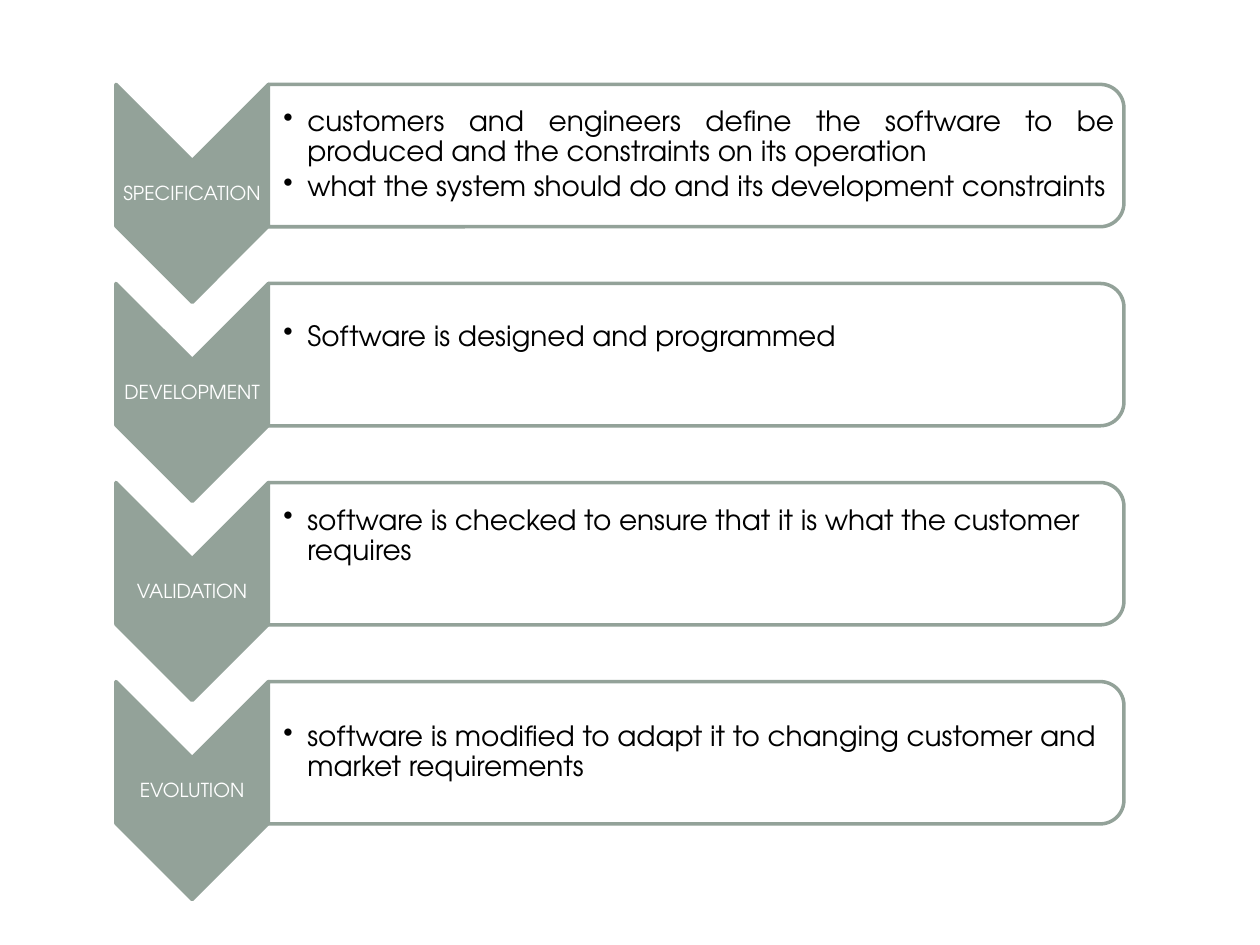
"""Build a slide of four software process stages, each a chevron with a bulleted panel."""
from dataclasses import dataclass

from lxml import etree
from pptx import Presentation
from pptx.dml.color import RGBColor
from pptx.enum.shapes import MSO_SHAPE
from pptx.enum.text import MSO_ANCHOR, PP_ALIGN
from pptx.oxml.ns import qn
from pptx.util import Inches, Pt

CHEVRON = MSO_SHAPE.CHEVRON
PANEL = MSO_SHAPE.ROUND_2_SAME_RECTANGLE
MIDDLE = MSO_ANCHOR.MIDDLE
LEFT, CENTER, JUSTIFY = PP_ALIGN.LEFT, PP_ALIGN.CENTER, PP_ALIGN.JUSTIFY

FONT = "TeX Gyre Adventor"
SAGE, WHITE, BLACK = "93A299", "FFFFFF", "000000"
TOP, PITCH = 0.67, 1.58
CHEVRON_X, CHEVRON_W, CHEVRON_H = 0.92, 1.21, 1.73
PANEL_X, PANEL_W, PANEL_H = CHEVRON_X + CHEVRON_W, 6.79, 1.13
INSET, INDENT = 0.01, 0.19


@dataclass
class Stage:
    name: str
    points: list[str]
    align: PP_ALIGN = LEFT
    bottom: float = INSET


STAGES = [
    Stage("SPECIFICATION", [
        "customers and engineers define the software to be produced "
        "and the constraints on its operation",
        "what the system should do and its development constraints",
    ], align=JUSTIFY),
    Stage("DEVELOPMENT", ["Software is designed and programmed"], bottom=0.28),
    Stage("VALIDATION", [
        "software is checked to ensure that it is what the customer requires",
    ], bottom=0.28),
    Stage("EVOLUTION", [
        "software is modified to adapt it to changing customer "
        "and market requirements",
    ]),
]


def color(value: str) -> RGBColor:
    return RGBColor.from_string(value)


def add_turned(s, kind, x: float, y: float, w: float, h: float, fill: str):
    """Draw a shape turned 90 degrees so that it covers the given box."""
    sp = s.shapes.add_shape(kind, Inches(x + (w - h) / 2), Inches(y + (h - w) / 2),
                            Inches(h), Inches(w))
    sp.rotation = 90
    sp.shadow.inherit = False
    sp.fill.solid()
    sp.fill.fore_color.rgb = color(fill)
    sp.line.color.rgb = color(SAGE)
    sp.line.width = Pt(2)


def add_text(s, x: float, y: float, w: float, h: float, lines: list[str], size: int,
             ink: str, align: PP_ALIGN, after: float, left=INSET, bottom=INSET):
    """Add a middle-anchored text box and return its paragraphs."""
    tf = s.shapes.add_textbox(Inches(x), Inches(y), Inches(w), Inches(h)).text_frame
    tf.word_wrap = True
    tf.vertical_anchor = MIDDLE
    tf.margin_left, tf.margin_bottom = Inches(left), Inches(bottom)
    tf.margin_top = tf.margin_right = Inches(INSET)
    tf.text = "\n".join(lines)
    for p in tf.paragraphs:
        p.alignment = align
        p.line_spacing = 0.9
        p.space_after = Pt(after)
        p.font.name, p.font.size = FONT, Pt(size)
        p.font.color.rgb = color(ink)
    return tf.paragraphs


def add_bullet(p):
    """Give a paragraph a hanging round bullet."""
    pPr = p._p.get_or_add_pPr()
    pPr.set("marL", str(Inches(INDENT)))
    pPr.set("indent", str(-Inches(INDENT)))
    bullet = etree.Element(qn("a:buChar"), char="•")
    pPr.find(qn("a:defRPr")).addprevious(bullet)


def add_stage(s, stage: Stage, y: float):
    """Draw one stage with its top edge at y."""
    add_turned(s, CHEVRON, CHEVRON_X, y, CHEVRON_W, CHEVRON_H, SAGE)
    add_text(s, CHEVRON_X, y + 0.61, CHEVRON_W, 0.52, [stage.name], 11, WHITE,
             CENTER, 4)
    add_turned(s, PANEL, PANEL_X, y, PANEL_W, PANEL_H, WHITE)
    for p in add_text(s, PANEL_X, y + 0.05, 6.73, 1.02, stage.points, 16, BLACK,
                      stage.align, 2.4, left=0.12, bottom=stage.bottom):
        add_bullet(p)


def main():
    prs = Presentation()
    prs.slide_width, prs.slide_height = Inches(10), Inches(7.5)
    s = prs.slides.add_slide(prs.slide_layouts[6])
    for i, stage in enumerate(STAGES):
        add_stage(s, stage, TOP + i * PITCH)
    prs.save("out.pptx")


if __name__ == "__main__":
    main()
